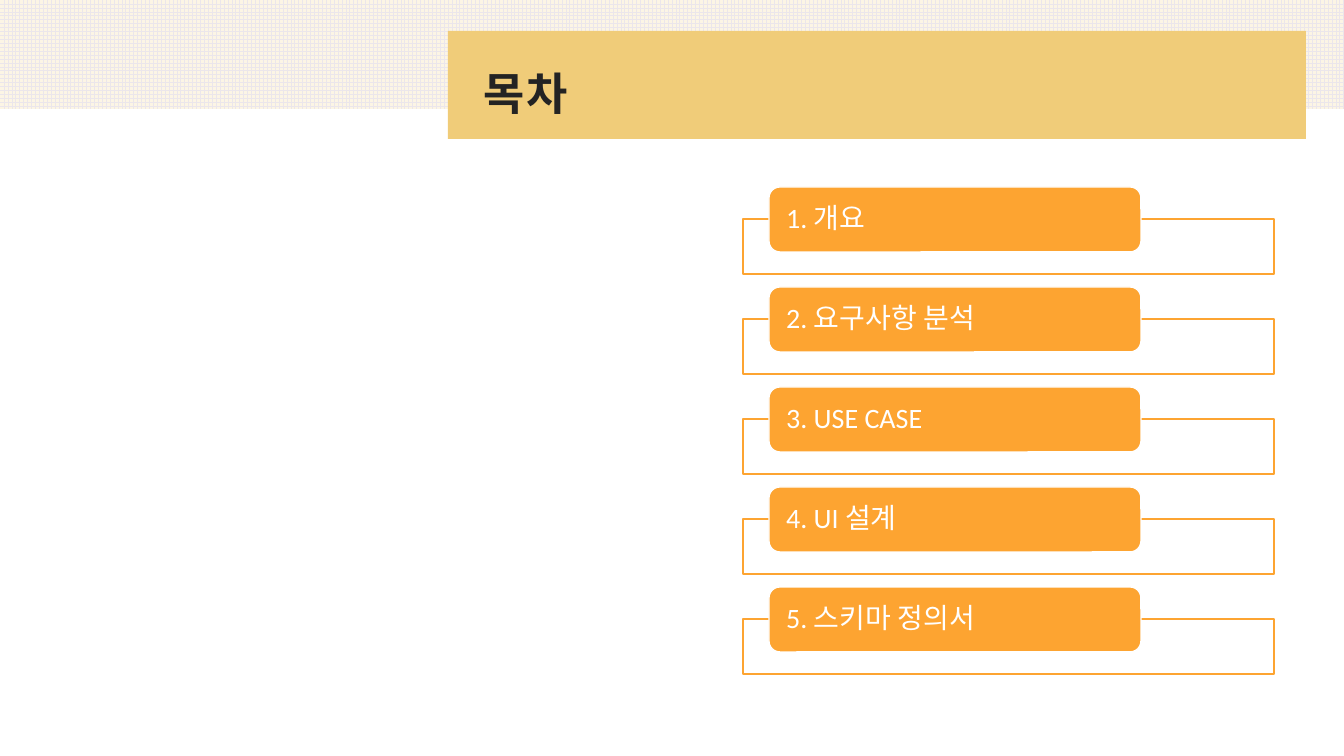
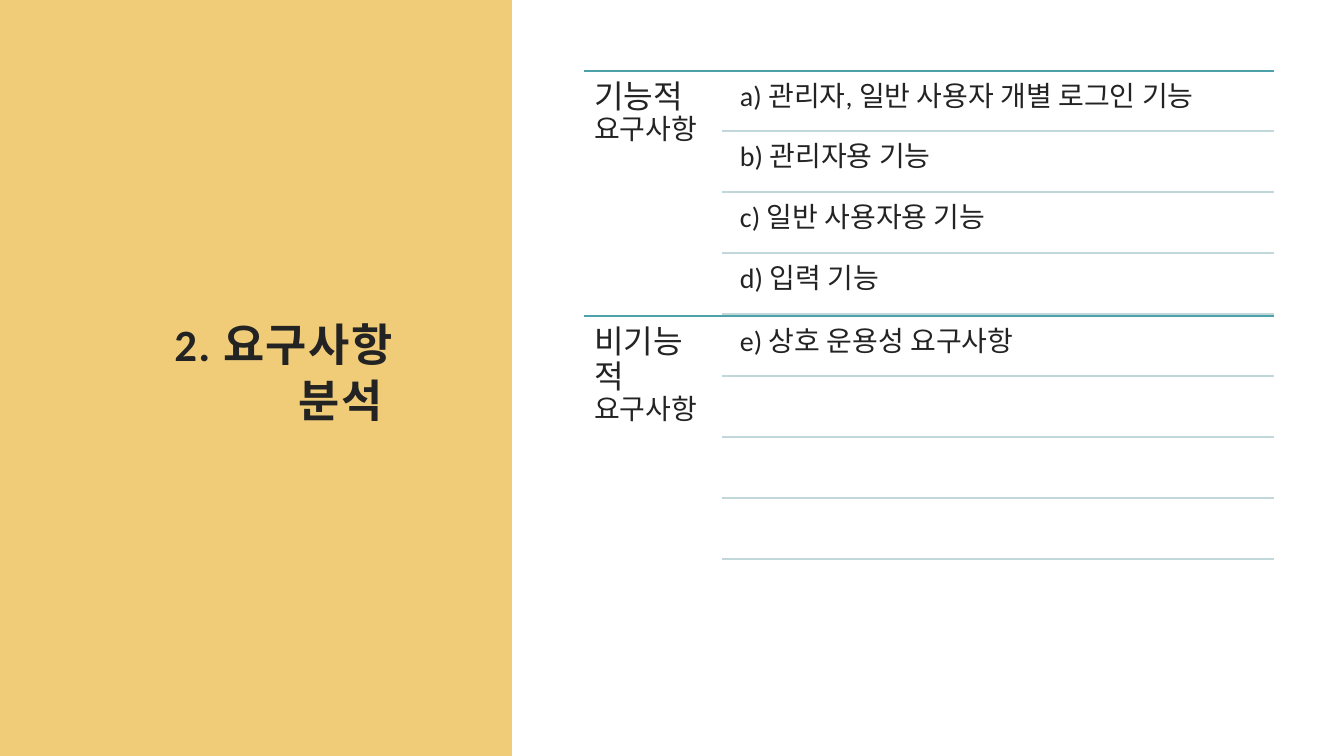
from dataclasses import dataclass

from pptx import Presentation
from pptx.dml.color import RGBColor
from pptx.enum.dml import MSO_PATTERN
from pptx.enum.shapes import MSO_CONNECTOR, MSO_SHAPE
from pptx.enum.text import MSO_ANCHOR, MSO_AUTO_SIZE, PP_ALIGN
from pptx.oxml.ns import qn
from pptx.util import Pt
from lxml import etree

RECT, ROUND = MSO_SHAPE.RECTANGLE, MSO_SHAPE.ROUNDED_RECTANGLE
STRAIGHT = MSO_CONNECTOR.STRAIGHT
TOP, MIDDLE = MSO_ANCHOR.TOP, MSO_ANCHOR.MIDDLE
LEFT, RIGHT = PP_ALIGN.LEFT, PP_ALIGN.RIGHT
GRID = MSO_PATTERN.LARGE_GRID
FIXED = MSO_AUTO_SIZE.NONE
SCALE = 914400 / 100.8
WIDE, HIGH = 1344, 756


@dataclass(frozen=True)
class Theme:
    font: str = "Calibri"
    ink: str = "232323"
    white: str = "FFFFFF"
    amber: str = "F0CC79"
    orange: str = "FDA431"
    teal: str = "4DA1A8"
    pale: str = "C2D7D9"
    mesh: str = "EBE6EB"
    cream: str = "FCF5E5"
    head: int = 32
    lead: int = 23
    body: int = 20


THEME = Theme()


def px(*nums):
    return [round(num * SCALE) for num in nums]


def rgb(code):
    return RGBColor.from_string(code)


def block(slide, box, fill, line=None, kind=RECT):
    shape = slide.shapes.add_shape(kind, *px(*box))
    shape.shadow.inherit = False
    shape.fill.solid()
    shape.fill.fore_color.rgb = rgb(fill)
    if line:
        shape.line.color.rgb = rgb(line)
        shape.line.width = Pt(1)
    else:
        shape.line.fill.background()
    return shape


def rule(slide, left, right, y, color):
    line = slide.shapes.add_connector(STRAIGHT, *px(left, y, right, y))
    line.line.color.rgb = rgb(color)
    line.line.width = Pt(1)
    etree.SubElement(line._element.spPr, qn("a:effectLst"))


def write(shape, text, size, color, pads, anchor=TOP, align=LEFT, gap=0.9):
    frame = shape.text_frame
    frame.word_wrap = True
    frame.auto_size = FIXED
    frame.vertical_anchor = anchor
    (frame.margin_left, frame.margin_top,
     frame.margin_right, frame.margin_bottom) = px(*pads)
    para = frame.paragraphs[0]
    para.text = text
    para.alignment = align
    para.line_spacing = gap
    para.font.name = THEME.font
    para.font.size = Pt(size)
    para.font.color.rgb = rgb(color)
    return para


def label(slide, box, text, size, pad):
    shape = slide.shapes.add_textbox(*px(*box))
    return write(shape, text, size, THEME.ink, [pad] * 4)


def title(slide, box, text, align=LEFT):
    shape = slide.shapes.title
    shape.left, shape.top, shape.width, shape.height = px(*box)
    para = write(shape, text, THEME.head, THEME.ink, (12, 12, 12, 10),
                 MIDDLE, align, 1.05)
    para.font.bold = True
    para.runs[0]._r.get_or_add_rPr().set("spc", "100")
    shape._element.getparent().append(shape._element)


def entry(slide, box, text):
    x, y, w, h = box
    block(slide, (x, y + 32, w, h - 32), THEME.white, THEME.orange)
    tab = block(slide, (x + 26, y, 372, 65), THEME.orange, THEME.white, ROUND)
    write(tab, text, THEME.body, THEME.white, (14, 0, 14, 0), MIDDLE)


def section(slide, box, lead, rest, items, count=4):
    x, y, w, h = box
    side = 138
    rule(slide, x, x + w, y, THEME.teal)
    para = label(slide, (x, y, side, h), lead, THEME.lead, 10)
    run = para.add_run()
    run.text = rest
    run.font.size = Pt(THEME.body)
    lines = [y + h * step // count for step in range(count + 1)]
    for top, text in zip(lines, items):
        label(slide, (x + side + 10, top + 3, w - side - 10, 57),
              text, THEME.body, 8)
    for level in lines[1:]:
        rule(slide, x + side, x + w, level, THEME.pale)


def agenda(slide):
    band = block(slide, (0, 0, WIDE, 109), THEME.cream)
    band.fill.patterned()
    band.fill.pattern = GRID
    band.fill.fore_color.rgb = rgb(THEME.mesh)
    band.fill.back_color.rgb = rgb(THEME.cream)
    block(slide, (448, 31, 858, 108), THEME.amber)
    title(slide, (472, 52, 802, 76), "목차")
    names = ("1. 개요", "2. 요구사항 분석", "3. USE CASE",
             "4. UI 설계", "5. 스키마 정의서")
    for row, name in enumerate(names):
        entry(slide, (743, 187 + 100 * row, 531, 87), name)


def needs(slide):
    block(slide, (0, 0, 512, HIGH), THEME.amber)
    title(slide, (71, 85, 335, 569), "2. 요구사항 분석 ", RIGHT)
    parts = (
        ("기능적 ", ("a) 관리자, 일반 사용자 개별 로그인 기능",
                  "b) 관리자용 기능", "c) 일반 사용자용 기능", "d) 입력 기능")),
        ("비기능적 ", ("e) 상호 운용성 요구사항",)),
    )
    for row, (lead, items) in enumerate(parts):
        section(slide, (584, 71 + 245 * row, 690, 243),
                lead, "요구사항", items)


def main():
    deck = Presentation()
    deck.slide_width, deck.slide_height = px(WIDE, HIGH)
    for build in (agenda, needs):
        build(deck.slides.add_slide(deck.slide_layouts[5]))
    deck.save("out.pptx")


if __name__ == "__main__":
    main()
